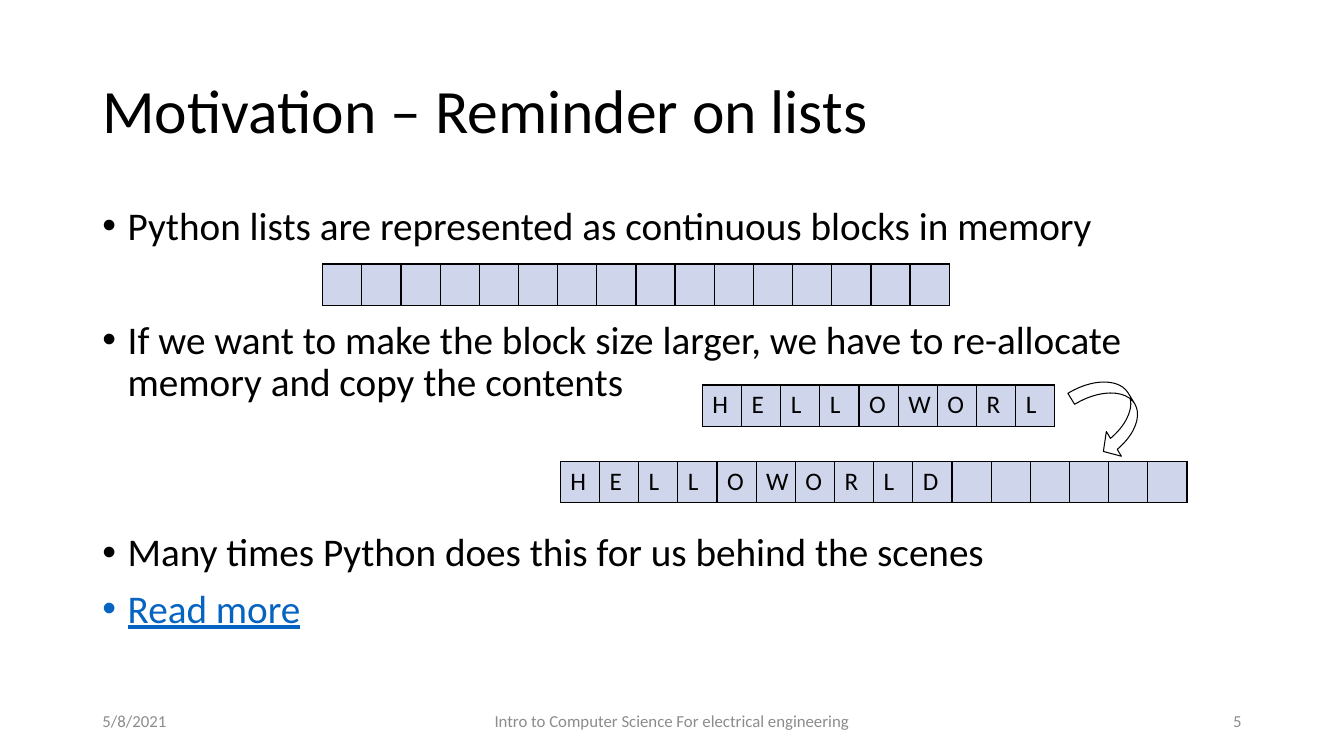
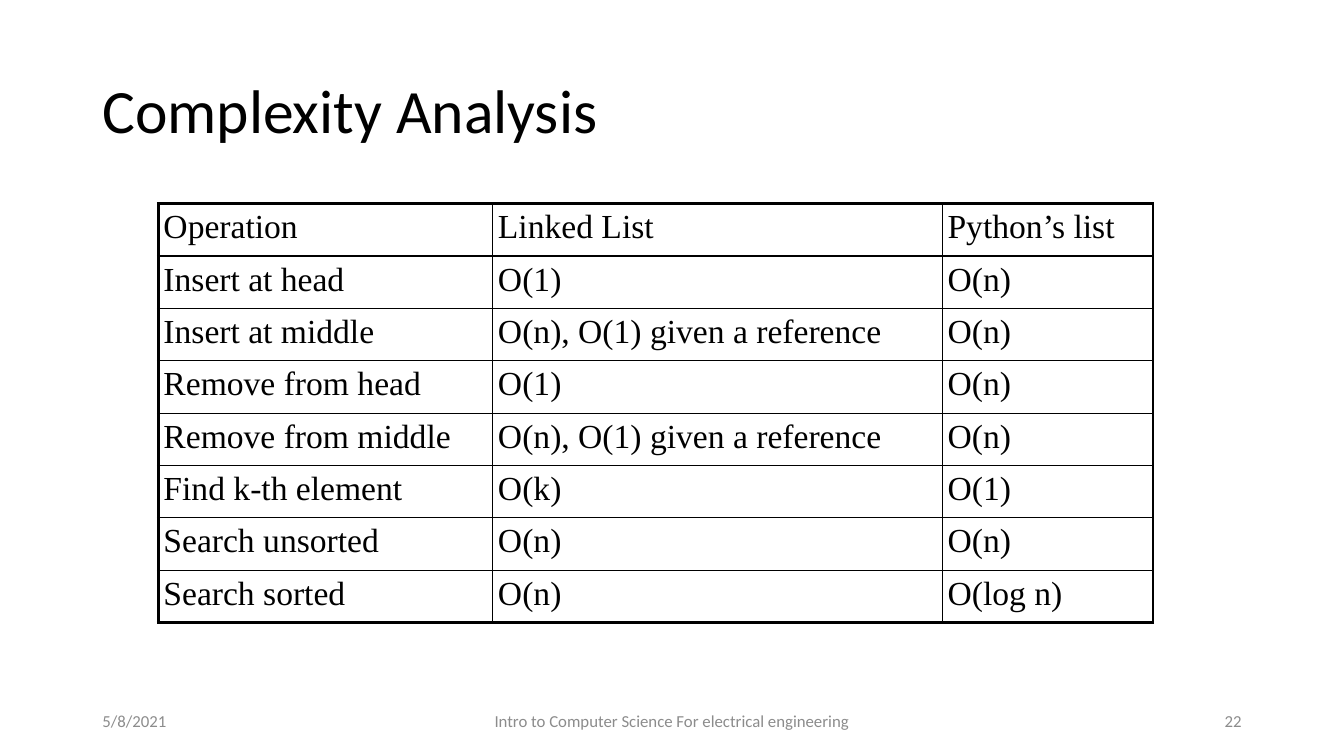
"""Build two course slides about Python lists and the complexity of linked lists."""
import dataclasses

import lxml.etree
import pptx
import pptx.dml.color
import pptx.enum.shapes
import pptx.enum.text
import pptx.oxml.ns
import pptx.presentation
import pptx.shapes.autoshape
import pptx.slide
import pptx.table
import pptx.text.text
import pptx.util

Cm = pptx.util.Cm
Pt = pptx.util.Pt
RGBColor = pptx.dml.color.RGBColor
Align = pptx.enum.text.PP_ALIGN
Anchor = pptx.enum.text.MSO_ANCHOR
qn = pptx.oxml.ns.qn

BLACK = RGBColor(0x00, 0x00, 0x00)
FOOTER_GRAY = RGBColor(0x8C, 0x8C, 0x8C)
LINK_BLUE = RGBColor(0x05, 0x63, 0xC1)
MEMORY_BLUE = RGBColor(0xCF, 0xD5, 0xEA)

SANS = "Calibri"
SERIF = "Times New Roman"

MARGIN = Cm(2.33)
CONTENT_WIDTH = Cm(29.21)
FOOTER_TOP = Cm(17.66)
FOOTER_HEIGHT = Cm(1.01)
FOOTER_SIDE_WIDTH = Cm(7.62)
FOOTER_CENTER_WIDTH = Cm(11.43)
CELL_WIDTH = Cm(15.8) // 16
CELL_HEIGHT = Cm(1.04)
ROW_HEIGHT = Cm(1.32)
THIN = Pt(1)
THICK = Pt(2.25)


@dataclasses.dataclass(frozen=True)
class Box:
    left: int
    top: int
    width: int
    height: int


@dataclasses.dataclass(frozen=True)
class TextStyle:
    size: float
    color: RGBColor = BLACK
    face: str = SANS
    align: Align = Align.LEFT
    underline: bool = False


@dataclasses.dataclass(frozen=True)
class Bullet:
    text: str
    space_before: float = 10
    style: TextStyle = TextStyle(28)


@dataclasses.dataclass(frozen=True)
class MemoryBlock:
    left: int
    top: int
    size: int
    letters: str = ""


TITLE_STYLE = TextStyle(44)
LETTER_STYLE = TextStyle(18)
COMPLEXITY_STYLE = TextStyle(24, face=SERIF)

BULLETS = (
    Bullet("Python lists are represented as continuous blocks in memory"),
    Bullet(
        "If we want to make the block size larger, we have to re-allocate "
        "memory and copy the contents",
        space_before=51,
    ),
    Bullet("Many times Python does this for us behind the scenes", space_before=91.5),
    Bullet("Read more", style=TextStyle(28, LINK_BLUE, underline=True)),
)

MEMORY_BLOCKS = (
    MemoryBlock(Cm(8.13), Cm(6.65), 16),
    MemoryBlock(Cm(14.12), Cm(11.63), 16, "HELLOWORLD"),
    MemoryBlock(Cm(17.7), Cm(9.7), 9, "HELLOWORL"),
)

COMPLEXITY_WIDTHS = (Cm(8.43), Cm(11.33), Cm(5.31))
COMPLEXITY_ROWS = (
    ("Operation", "Linked List", "Python’s list"),
    ("Insert at head", "O(1)", "O(n)"),
    ("Insert at middle", "O(n), O(1) given a reference", "O(n)"),
    ("Remove from head", "O(1)", "O(n)"),
    ("Remove from middle", "O(n), O(1) given a reference", "O(n)"),
    ("Find k-th element", "O(k)", "O(1)"),
    ("Search unsorted", "O(n)", "O(n)"),
    ("Search sorted", "O(n)", "O(log n)"),
)


def write(paragraph: pptx.text.text._Paragraph, text: str, style: TextStyle) -> None:
    paragraph.text = text
    paragraph.alignment = style.align
    paragraph.font.name = style.face
    paragraph.font.size = Pt(style.size)
    paragraph.font.color.rgb = style.color
    if style.underline:
        paragraph.font.underline = True


def add_frame(
    slide: pptx.slide.Slide, box: Box, anchor: Anchor = Anchor.MIDDLE
) -> pptx.text.text.TextFrame:
    frame = slide.shapes.add_textbox(box.left, box.top, box.width, box.height).text_frame
    frame.word_wrap = True
    frame.vertical_anchor = anchor
    return frame


def add_course_slide(
    deck: pptx.presentation.Presentation, title: str, number: int
) -> pptx.slide.Slide:
    slide = deck.slides.add_slide(deck.slide_layouts[6])
    heading = add_frame(slide, Box(MARGIN, Cm(1.02), CONTENT_WIDTH, Cm(3.68))).paragraphs[0]
    write(heading, title, TITLE_STYLE)
    heading.line_spacing = 0.9
    footers = (
        ("5/8/2021", Align.LEFT, MARGIN, FOOTER_SIDE_WIDTH),
        (
            "Intro to Computer Science For electrical engineering",
            Align.CENTER,
            MARGIN + (CONTENT_WIDTH - FOOTER_CENTER_WIDTH) // 2,
            FOOTER_CENTER_WIDTH,
        ),
        (
            str(number),
            Align.RIGHT,
            MARGIN + CONTENT_WIDTH - FOOTER_SIDE_WIDTH,
            FOOTER_SIDE_WIDTH,
        ),
    )
    for text, align, left, width in footers:
        frame = add_frame(slide, Box(left, FOOTER_TOP, width, FOOTER_HEIGHT))
        write(frame.paragraphs[0], text, TextStyle(12, FOOTER_GRAY, align=align))
    return slide


def add_bullets(slide: pptx.slide.Slide, box: Box, bullets: tuple[Bullet, ...]) -> None:
    frame = add_frame(slide, box, Anchor.TOP)
    for index, bullet in enumerate(bullets):
        paragraph = frame.add_paragraph() if index else frame.paragraphs[0]
        properties = paragraph._p.get_or_add_pPr()
        properties.set("marL", str(Cm(0.64)))
        properties.set("indent", str(-Cm(0.64)))
        tint = lxml.etree.SubElement(properties, qn("a:buClr"))
        lxml.etree.SubElement(tint, qn("a:srgbClr"), val=str(bullet.style.color))
        lxml.etree.SubElement(properties, qn("a:buFont"), typeface="Arial")
        lxml.etree.SubElement(properties, qn("a:buChar"), char="•")
        write(paragraph, bullet.text, bullet.style)
        paragraph.line_spacing = 0.9
        paragraph.space_before = Pt(bullet.space_before)


def set_borders(
    cell: pptx.table._Cell,
    left: int = THIN,
    right: int = THIN,
    top: int = THIN,
    bottom: int = THIN,
) -> None:
    properties = cell._tc.get_or_add_tcPr()
    for side, width in zip("LRTB", (left, right, top, bottom)):
        line = lxml.etree.SubElement(properties, qn(f"a:ln{side}"), w=str(width))
        fill = lxml.etree.SubElement(line, qn("a:solidFill"))
        lxml.etree.SubElement(fill, qn("a:srgbClr"), val=str(BLACK))


def add_plain_table(
    slide: pptx.slide.Slide, left: int, top: int, widths: tuple[int, ...], heights: tuple[int, ...]
) -> pptx.table.Table:
    table = slide.shapes.add_table(
        len(heights), len(widths), left, top, sum(widths), sum(heights)
    ).table
    table.first_row = False
    table.horz_banding = False
    for column, width in zip(table.columns, widths):
        column.width = width
    for row, height in zip(table.rows, heights):
        row.height = height
    return table


def add_memory_block(slide: pptx.slide.Slide, block: MemoryBlock) -> None:
    table = add_plain_table(
        slide, block.left, block.top, (CELL_WIDTH,) * block.size, (CELL_HEIGHT,)
    )
    for cell, letter in zip(table.iter_cells(), block.letters.ljust(block.size)):
        set_borders(cell)
        cell.fill.solid()
        cell.fill.fore_color.rgb = MEMORY_BLUE
        write(cell.text_frame.paragraphs[0], letter.strip(), LETTER_STYLE)


def add_copy_arrow(slide: pptx.slide.Slide, box: Box) -> None:
    arrow = slide.shapes.add_shape(
        pptx.enum.shapes.MSO_SHAPE.CURVED_LEFT_ARROW, box.left, box.top, box.width, box.height
    )
    arrow.shadow.inherit = False
    arrow.rotation = 328.6
    for index, value in enumerate((0.25, 0.56, 0.25)):
        arrow.adjustments[index] = value
    arrow.fill.background()
    arrow.line.color.rgb = BLACK
    arrow.line.width = Pt(0.75)


def add_complexity_table(slide: pptx.slide.Slide, left: int, top: int) -> None:
    last_row = len(COMPLEXITY_ROWS) - 1
    last_column = len(COMPLEXITY_WIDTHS) - 1
    heights = (ROW_HEIGHT,) * len(COMPLEXITY_ROWS)
    table = add_plain_table(slide, left, top, COMPLEXITY_WIDTHS, heights)
    for row, entries in enumerate(COMPLEXITY_ROWS):
        for column, entry in enumerate(entries):
            cell = table.cell(row, column)
            set_borders(
                cell,
                left=THICK if column == 0 else THIN,
                right=THICK if column == last_column else THIN,
                top=THICK if row == 0 else THIN,
                bottom=THICK if row == last_row else THIN,
            )
            cell.fill.background()
            cell.margin_left = cell.margin_right = Cm(0.13)
            cell.margin_top = cell.margin_bottom = Cm(0.13)
            paragraph = cell.text_frame.paragraphs[0]
            write(paragraph, entry, COMPLEXITY_STYLE)
            paragraph.space_before = Pt(4)


def main() -> None:
    deck = pptx.Presentation()
    deck.slide_width = Cm(33.87)
    deck.slide_height = Cm(19.05)

    motivation = add_course_slide(deck, "Motivation – Reminder on lists", 5)
    add_bullets(motivation, Box(MARGIN, Cm(5.08), CONTENT_WIDTH, Cm(12.09)), BULLETS)
    for block in MEMORY_BLOCKS:
        add_memory_block(motivation, block)
    add_copy_arrow(motivation, Box(Cm(27.36), Cm(9.42), Cm(1.3), Cm(2.08)))

    complexity = add_course_slide(deck, "Complexity Analysis", 22)
    add_complexity_table(complexity, Cm(3.99), Cm(5.13))

    deck.save("out.pptx")


if __name__ == "__main__":
    main()
